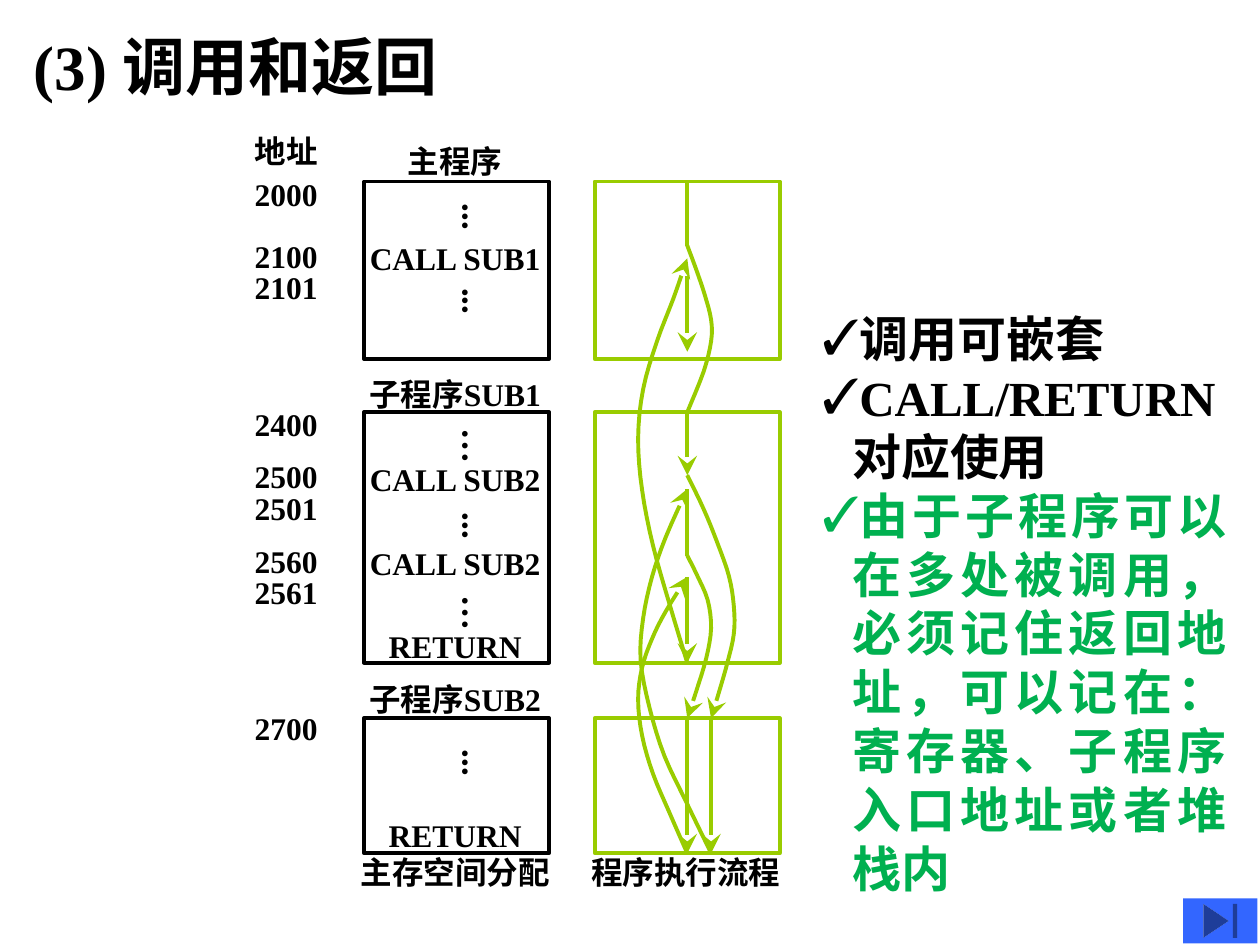
from dataclasses import dataclass

from lxml.etree import SubElement as Sub
from pptx import Presentation
from pptx.dml.color import RGBColor as Rgb
from pptx.enum.shapes import MSO_CONNECTOR as Link, MSO_SHAPE as Kind
from pptx.enum.text import MSO_AUTO_SIZE as Fit, PP_ALIGN as Align
from pptx.oxml.ns import qn
from pptx.util import Cm, Pt


@dataclass(frozen=True)
class Theme:
    black: Rgb = Rgb(0, 0, 0)
    lime: Rgb = Rgb(0x99, 0xCC, 0)
    green: Rgb = Rgb(0, 0xB0, 0x50)
    blue: Rgb = Rgb(0x33, 0x66, 0xFF)
    font: str = "Times New Roman"
    title: int = 36
    body: int = 28
    dots: int = 20
    label: int = 18
    line: float = 2.25


T = Theme()
# Top and height of the three program blocks, from the top of a column
BLOCKS = [(0, 3.58), (4.65, 5.05), (10.82, 2.72)]
MAIN, SUB1, SUB2 = range(3)
FOOT = 13.41


def add_run(para, text, size, color=T.black):
    run = para.add_run()
    run.text = text
    font = run.font
    font.name, font.size, font.bold = T.font, Pt(size), True
    font.color.rgb = color


def add_text(slide, x, y, w, h, wrap=False):
    box = slide.shapes.add_textbox(Cm(x), Cm(y), Cm(w), Cm(h))
    frame = box.text_frame
    frame.word_wrap = wrap
    frame.auto_size = Fit.SHAPE_TO_FIT_TEXT
    return frame


def label(slide, text, mid, y, w):
    para = add_text(slide, mid - w / 2, y, w, 1.02).paragraphs[0]
    para.alignment = Align.CENTER
    add_run(para, text, T.label)


def dots(slide, text, mid, y, h):
    frame = add_text(slide, mid - 0.67, y, 1.35, h)
    frame.margin_left = frame.margin_right = Cm(0.13)
    frame.margin_top = frame.margin_bottom = Cm(0.25)
    frame._txBody.bodyPr.set("vert", "eaVert")
    add_run(frame.paragraphs[0], text, T.dots)


def blocks(slide, x, y, w, color):
    rects = []
    for top, h in BLOCKS:
        rect = slide.shapes.add_shape(Kind.RECTANGLE, Cm(x), Cm(y + top), Cm(w), Cm(h))
        rect.shadow.inherit = False
        rect.fill.background()
        rect.line.color.rgb, rect.line.width = color, Pt(T.line)
        rects.append(rect)
    return rects


def stroke(shape, head):
    shape.line.color.rgb, shape.line.width = T.lime, Pt(T.line)
    if head:
        Sub(shape.line._get_or_add_ln(), qn("a:tailEnd"),
            type="stealth", w="lg", len="lg")


def step(slide, mid, y, start, end, head, top=None, foot=None):
    """Straight run of control, joined to the block it enters or leaves."""
    line = slide.shapes.add_connector(
        Link.STRAIGHT, Cm(mid), Cm(y + start), Cm(mid), Cm(y + end))
    if top is not None:
        line.begin_connect(top, 0)
    if foot is not None:
        line.end_connect(foot, 2)
    stroke(line, head)
    Sub(line._element.spPr, qn("a:effectLst"))


def smooth(pts, parts=4):
    """Points of a Catmull-Rom curve through pts."""
    ext = [pts[0], *pts, pts[-1]]
    out = [pts[0]]
    for quad in zip(ext, ext[1:], ext[2:], ext[3:]):
        for i in range(1, parts + 1):
            t = i / parts
            out.append(tuple(
                b + t * (c - a) / 2 + t * t * (a - 2.5 * b + 2 * c - d / 2)
                + t ** 3 * (1.5 * (b - c) + (d - a) / 2)
                for a, b, c, d in zip(*quad)))
    return out


def jump(slide, mid, y, pts, head=True):
    """Curved call or return between blocks."""
    path = [(Cm(mid + dx), Cm(y + dy)) for dx, dy in smooth(pts)]
    pen = slide.shapes.build_freeform(*path[0])
    pen.add_line_segments(path[1:], close=False)
    curve = pen.convert_to_shape()
    curve.shadow.inherit = False
    curve.fill.background()
    stroke(curve, head)


def head(slide, x, y, w, h):
    frame = add_text(slide, x, y, w, h, wrap=True)
    add_run(frame.paragraphs[0], "(3) 调用和返回", T.title)


def addresses(slide, x, y, w):
    rows = [("地址", -1.12), ("2000", -0.26), ("2100", 0.99), ("2101", 1.62),
            ("2400", 4.39), ("2500", 5.43), ("2501", 6.07), ("2560", 7.14),
            ("2561", 7.77), ("2700", 10.51)]
    for text, dy in rows:
        label(slide, text, x + w / 2, y + dy, w)


def memory(slide, x, y, w):
    mid = x + w / 2
    blocks(slide, x, y, w, T.black)
    rows = [("主程序", -0.92, 2.6), ("CALL SUB1", 1.04, 4.2),
            ("子程序SUB1", 3.78, 4.3), ("CALL SUB2", 5.48, 4.2),
            ("CALL SUB2", 7.19, 4.2), ("RETURN", 8.86, 3.7),
            ("子程序SUB2", 9.93, 4.3), ("RETURN", 12.67, 3.7),
            ("主存空间分配", FOOT, 4.4)]
    for text, dy, width in rows:
        label(slide, text, mid - 0.03, y + dy, width)
    for text, dy, h in [("...", 0.2, 0.79), ("...", 1.9, 0.79), ("…", 4.72, 0.97),
                        ("...", 6.43, 0.79), ("…", 8.1, 0.97), ("...", 11.2, 0.79)]:
        dots(slide, text, mid + 0.28, y + dy, h)


def flow(slide, x, y, w):
    mid = x + w / 2
    rects = blocks(slide, x, y, w, T.lime)
    # Straight runs inside the blocks
    step(slide, mid, y, 0, 1.29, False, top=rects[MAIN])
    step(slide, mid, y, 1.9, 3.43, True)
    step(slide, mid, y, 4.65, 5.92, True, top=rects[SUB1])
    step(slide, mid, y, 6.2, 7.54, False)
    step(slide, mid, y, 7.97, 9.7, True, foot=rects[SUB1])
    step(slide, mid, y, 10.82, 13.54, True, top=rects[SUB2], foot=rects[SUB2])
    step(slide, mid + 0.48, y, 10.82, 13.54, True)
    # Calls
    jump(slide, mid, y, [(0, 1.29), (0.2, 1.83), (0.36, 2.31), (0.48, 2.79),
                         (0.48, 3.22), (0.33, 3.83), (0, 4.65)], head=False)
    jump(slide, mid, y, [(0, 5.92), (0.33, 6.6), (0.61, 7.29), (0.84, 7.95),
                         (0.94, 8.56), (0.94, 9.12), (0.81, 9.7),
                         (0.66, 10.23), (0.48, 10.82)])
    jump(slide, mid, y, [(0, 7.54), (0.18, 7.9), (0.41, 8.43), (0.48, 9.01),
                         (0.38, 9.62), (0.18, 10.28), (0, 10.82)])
    # Returns
    jump(slide, mid, y, [(0.48, 13.54), (0, 12.55), (-0.46, 11.58),
                         (-0.76, 10.61), (-0.94, 9.65), (-0.89, 8.81),
                         (-0.71, 7.97), (-0.43, 7.16), (0, 6.2)])
    jump(slide, mid, y, [(0, 13.54), (-0.36, 12.72), (-0.69, 11.94),
                         (-0.91, 11.17), (-0.99, 10.44), (-0.91, 9.8),
                         (-0.71, 9.22), (-0.43, 8.66), (0, 7.97)])
    jump(slide, mid, y, [(0, 9.7), (-0.36, 8.51), (-0.69, 7.34), (-0.91, 6.22),
                         (-0.99, 5.18), (-0.89, 4.19), (-0.61, 3.22),
                         (-0.28, 2.36), (0, 1.55)])
    label(slide, "程序执行流程", mid - 0.03, y + FOOT, 4.4)


def notes(slide, x, y, w, h):
    frame = add_text(slide, x, y, w, h, wrap=True)
    items = [("调用可嵌套", T.black), ("CALL/RETURN对应使用", T.black),
             ("由于子程序可以在多处被调用，必须记住返回地址，可以记在："
              "寄存器、子程序入口地址或者堆栈内", T.green)]
    for i, (text, color) in enumerate(items):
        para = frame.add_paragraph() if i else frame.paragraphs[0]
        para.alignment = Align.JUSTIFY
        props = para._p.get_or_add_pPr()
        props.set("marL", str(Cm(0.6)))
        props.set("indent", str(-Cm(0.6)))
        Sub(Sub(props, qn("a:buClr")), qn("a:srgbClr"), val=str(color))
        Sub(props, qn("a:buFont"), typeface=T.font)
        Sub(props, qn("a:buChar"), char="✓")
        add_run(para, text, T.body, color)


def button(slide, x, y, w, h):
    end = slide.shapes.add_shape(Kind.ACTION_BUTTON_END, Cm(x), Cm(y), Cm(w), Cm(h))
    end.shadow.inherit = False
    end.fill.solid()
    end.fill.fore_color.rgb = T.blue
    end.line.fill.background()


def main():
    deck = Presentation()
    deck.slide_width, deck.slide_height = Cm(25.4), Cm(19.05)
    slide = deck.slides.add_slide(deck.slide_layouts[6])
    top, wide = 3.66, 3.73
    head(slide, 0.43, 0.43, 14.48, 1.78)
    addresses(slide, 4.88, top, 1.78)
    memory(slide, 7.34, top, wide)
    flow(slide, 11.99, top, wide)
    notes(slide, 16.33, 6.1, 8.64, 10.95)
    button(slide, 23.85, 18.11, 1.5, 0.91)
    deck.save("out.pptx")


if __name__ == "__main__":
    main()
